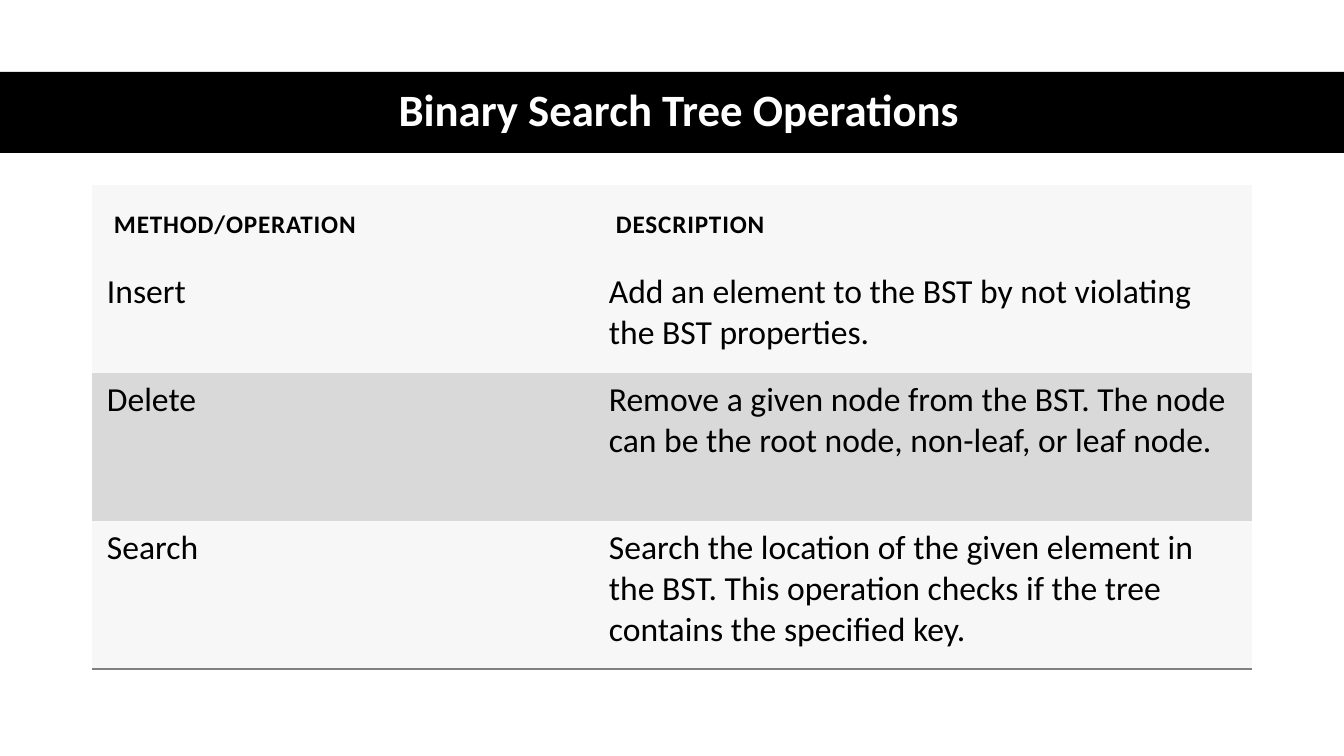
from dataclasses import dataclass

from lxml.etree import SubElement
from pptx import Presentation
from pptx.dml.color import RGBColor as RGB
from pptx.enum.shapes import MSO_SHAPE as Shape
from pptx.enum.text import MSO_ANCHOR as Anchor, PP_ALIGN as Align
from pptx.oxml.ns import qn
from pptx.util import Pt

TITLE = "Binary Search Tree Operations"
HEADINGS = ("METHOD/OPERATION", "DESCRIPTION")
OPERATIONS = [
    ("Insert", "Add an element to the BST by not violating the BST properties."),
    ("Delete", "Remove a given node from the BST. "
               "The node can be the root node, non-leaf, or leaf node."),
    ("Search", "Search the location of the given element in the BST. "
               "This operation checks if the tree contains the specified key."),
]

SLIDE_SIZE = (1344, 756)
BAND_BOX = (0, 72, 1344, 81)
TITLE_BOX = (61, 71, 1236, 81)
TABLE_ORIGIN = (92, 185)
COLUMN_WIDTHS = (502, 658)
ROW_HEIGHTS = (80, 108, 148, 148)
HEADING_INSETS = (22, 22, 22, 22)
BODY_INSETS = (15, 7, 15, 15)
PLAIN_TABLE_STYLE = "{2D5ABB26-0587-4C30-8999-92F81FD0307C}"


@dataclass(frozen=True)
class Theme:
    """Colours, font and type sizes of the slide."""
    font: str = "Calibri"
    ink: str = "000000"
    paper: str = "FFFFFF"
    light_row: str = "F7F7F7"
    dark_row: str = "D9D9D9"
    rule: str = "808080"
    title_size: int = 32
    heading_size: int = 18
    body_size: int = 24


THEME = Theme()


def px(length):
    """Turn picture pixels into EMU."""
    return round(length * 914400 / 100.8)


def set_font(paragraph, size, color, bold=False):
    """Format a whole paragraph."""
    font = paragraph.font
    font.name, font.size, font.bold = THEME.font, Pt(size), bold
    font.color.rgb = RGB.from_string(color)


def add_title(slide):
    """Place the title over a full-width black band."""
    title = slide.shapes.title
    band = slide.shapes.add_shape(Shape.RECTANGLE, *map(px, BAND_BOX))
    band.shadow.inherit = False
    band.fill.solid()
    band.fill.fore_color.rgb = RGB.from_string(THEME.ink)
    band.line.fill.background()
    title.element.addprevious(band.element)

    title.left, title.top, title.width, title.height = map(px, TITLE_BOX)
    title.text_frame.text = TITLE
    title.text_frame.vertical_anchor = Anchor.MIDDLE
    heading = title.text_frame.paragraphs[0]
    heading.alignment, heading.line_spacing = Align.CENTER, 0.9
    set_font(heading, THEME.title_size, THEME.paper, bold=True)


def fill_cell(cell, text, is_heading, color):
    """Write and format one table cell."""
    cell.text = text
    insets = HEADING_INSETS if is_heading else BODY_INSETS
    (cell.margin_left, cell.margin_top,
     cell.margin_right, cell.margin_bottom) = map(px, insets)
    cell.vertical_anchor = Anchor.MIDDLE if is_heading else Anchor.TOP
    cell.fill.solid()
    cell.fill.fore_color.rgb = RGB.from_string(color)
    paragraph = cell.text_frame.paragraphs[0]
    size = THEME.heading_size if is_heading else THEME.body_size
    set_font(paragraph, size, THEME.ink, bold=is_heading)
    if is_heading:
        paragraph.runs[0].font._element.set("spc", "60")


def add_bottom_rule(cell):
    """Draw a thin line under a cell."""
    properties = cell._tc.get_or_add_tcPr()
    rule = SubElement(properties, qn("a:lnB"), w=str(Pt(1)))
    fill = SubElement(rule, qn("a:solidFill"))
    SubElement(fill, qn("a:srgbClr"), val=THEME.rule)
    properties.insert(0, rule)


def add_operations(slide):
    """Build the table of operations."""
    rows = [HEADINGS, *OPERATIONS]
    size = (sum(COLUMN_WIDTHS), sum(ROW_HEIGHTS))
    table = slide.shapes.add_table(
        len(rows), len(HEADINGS), *map(px, TABLE_ORIGIN + size)).table
    table._tbl.tblPr.find(qn("a:tableStyleId")).text = PLAIN_TABLE_STYLE
    for column, width in zip(table.columns, COLUMN_WIDTHS):
        column.width = px(width)
    for index, (row, height, texts) in enumerate(zip(table.rows, ROW_HEIGHTS, rows)):
        row.height = px(height)
        is_heading = index == 0
        is_dark = index > 0 and index % 2 == 0
        color = THEME.dark_row if is_dark else THEME.light_row
        for cell, text in zip(row.cells, texts):
            fill_cell(cell, text, is_heading, color)
            if index == len(rows) - 1:
                add_bottom_rule(cell)


def main():
    """Build and save the slide."""
    deck = Presentation()
    deck.slide_width, deck.slide_height = map(px, SLIDE_SIZE)
    title_only = deck.slide_layouts[5]
    slide = deck.slides.add_slide(title_only)
    add_title(slide)
    add_operations(slide)
    deck.save("out.pptx")


main()
